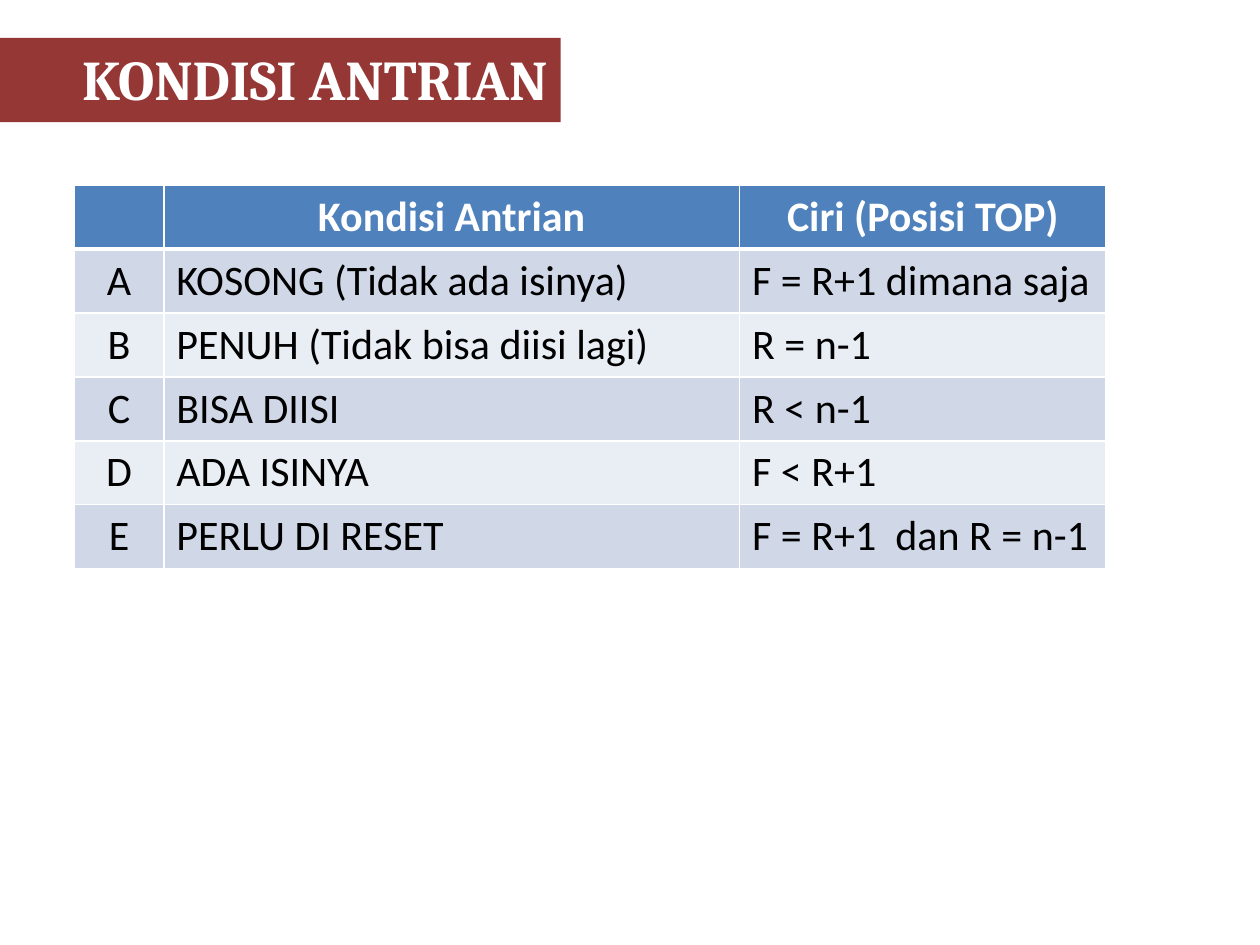
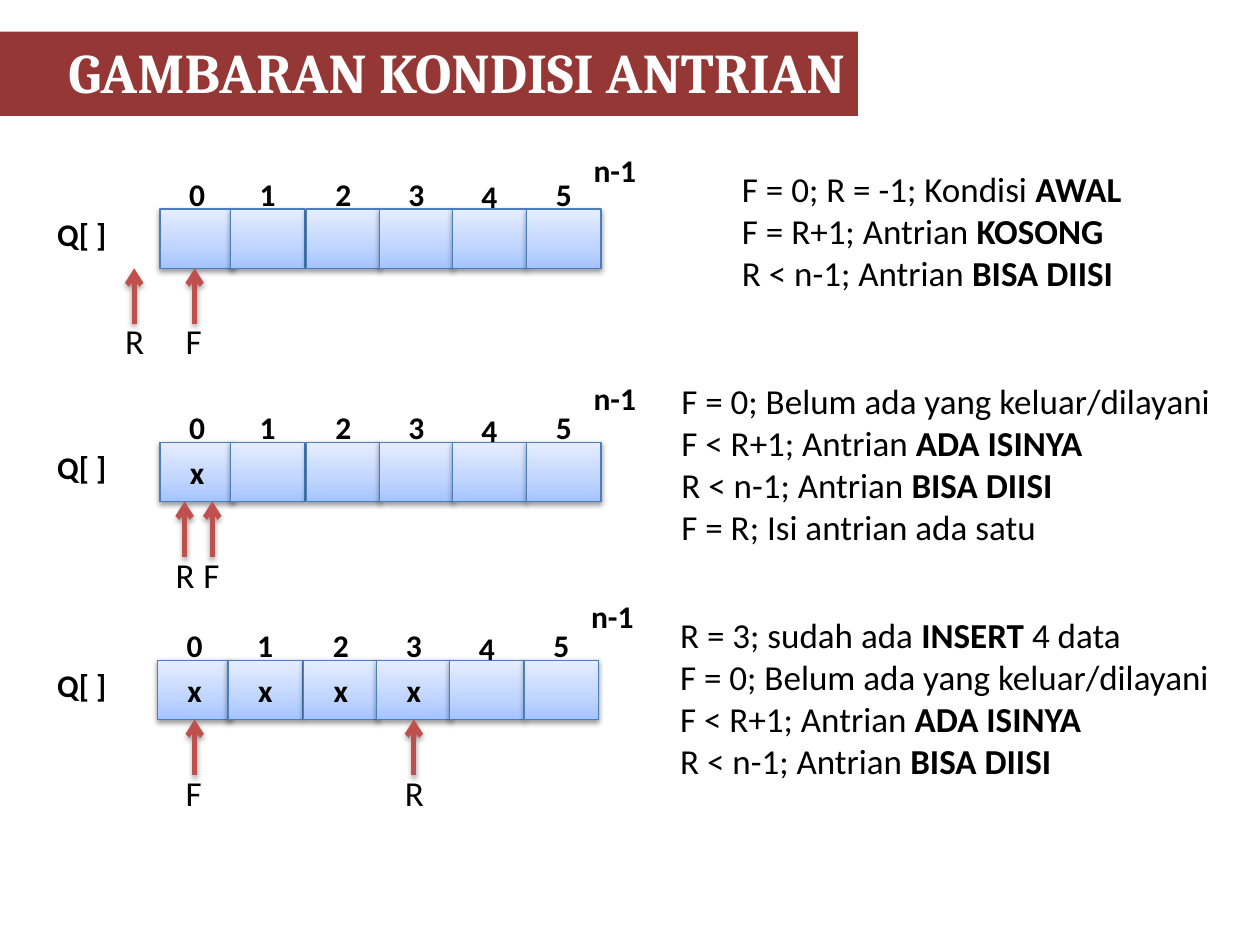
from copy import deepcopy

from pptx import Presentation
from pptx.dml.color import RGBColor
from pptx.enum.shapes import MSO_CONNECTOR, MSO_SHAPE
from pptx.enum.text import MSO_ANCHOR, MSO_AUTO_SIZE, PP_ALIGN
from pptx.oxml import parse_xml
from pptx.oxml.ns import nsdecls, qn
from pptx.util import Inches, Pt

RECT = MSO_SHAPE.RECTANGLE
LINE = MSO_CONNECTOR.STRAIGHT
LEFT, MID, RIGHT = PP_ALIGN.LEFT, PP_ALIGN.CENTER, PP_ALIGN.RIGHT
TOP, CORE = MSO_ANCHOR.TOP, MSO_ANCHOR.MIDDLE
FIXED, GROW = MSO_AUTO_SIZE.NONE, MSO_AUTO_SIZE.SHAPE_TO_FIT_TEXT

THEME = {
    "band": "953735", "head": "4F81BD", "odd": "D0D8E8", "even": "E9EDF4",
    "edge": "4B7EBC", "arrow": "C0504D", "white": "FFFFFF", "black": "000000",
    "fade": ((0, "A4C4FF"), (0.35, "BFD4FF"), (1, "E6EEFF")),
}
FONTS = {
    "title": ({"name": "Cambria", "size": Pt(32), "bold": True}, "white"),
    "head": ({"name": "Calibri", "size": Pt(24), "bold": True}, "white"),
    "body": ({"name": "Calibri", "size": Pt(24), "bold": False}, "black"),
    "mark": ({"name": "Calibri", "size": Pt(18), "bold": True}, "black"),
    "note": ({"name": "Calibri", "size": Pt(20), "bold": False}, "black"),
}

TITLES = (("KONDISI ANTRIAN", 0.3, 5.2), ("GAMBARAN KONDISI ANTRIAN", 0.25, 7.56))
WIDTHS = (0.71, 4.57, 2.91)
ROWS = (
    ("", "Kondisi Antrian", "Ciri (Posisi TOP)"),
    ("A", "KOSONG (Tidak ada isinya)", "F = R+1 dimana saja"),
    ("B", "PENUH (Tidak bisa diisi lagi)", "R = n-1"),
    ("C", "BISA DIISI", "R < n-1"),
    ("D", "ADA ISINYA", "F < R+1"),
    ("E", "PERLU DI RESET", "F = R+1  dan R = n-1"),
)

CELL_W, CELL_H = 0.59, 0.47
STEPS = (0, 0.56, 1.16, 1.74, 2.32, 2.91)
DROPS = (0, 0, 0, 0, 0.02, 0)
QUEUES = (
    {"at": (1.27, 1.66), "full": 0, "end": 1.15,
     "ptrs": (("R", 0, -0.5), ("F", 0, -0.02)),
     "box": (5.79, 1.28, 3.38, 1.11),
     "notes": ("F = 0; R = -1; Kondisi *AWAL", "F = R+1; Antrian *KOSONG",
               "R < n-1; Antrian *BISA DIISI")},
    {"at": (1.27, 3.51), "full": 1, "end": 2.96,
     "ptrs": (("R", 0, -0.1), ("F", 0, 0.12)),
     "box": (5.31, 2.96, 4.5, 1.45),
     "notes": ("F = 0; Belum ada yang keluar/dilayani", "F < R+1; Antrian *ADA ISINYA",
               "R < n-1; Antrian *BISA DIISI", "F = R; Isi antrian ada satu")},
    {"at": (1.25, 5.24), "full": 4, "end": 4.69,
     "ptrs": (("F", 0, 0), ("R", 3, 0)),
     "box": (5.3, 4.82, 4.5, 1.45),
     "notes": ("R = 3; sudah ada *INSERT* 4 data", "F = 0; Belum ada yang keluar/dilayani",
               "F < R+1; Antrian *ADA ISINYA", "R < n-1; Antrian *BISA DIISI")},
)


def tint(key):
    return RGBColor.from_string(THEME.get(key, key))


def put(obj, **vals):
    for key, val in vals.items():
        setattr(obj, key, val)


def paint(obj, key):
    obj.fill.solid()
    obj.fill.fore_color.rgb = tint(key)


def write(frame, lines, style, align=LEFT):
    vals, hue = FONTS[style]
    for i, line in enumerate(lines):
        para = frame.add_paragraph() if i else frame.paragraphs[0]
        para.alignment = align
        for j, part in enumerate(line.split("*")):
            run = para.add_run()
            run.text = part
            put(run.font, **vals)
            run.font.color.rgb = tint(hue)
            if j % 2:
                run.font.bold = True


def label(slide, box, lines, style, align=LEFT):
    frame = slide.shapes.add_textbox(*map(Inches, box)).text_frame
    put(frame, word_wrap=False, auto_size=GROW)
    write(frame, lines, style, align)


def shade(shape, dist, alpha):
    props = shape._element.spPr
    for old in props.findall(qn("a:effectLst")):
        props.remove(old)
    props.append(parse_xml(
        f'<a:effectLst {nsdecls("a")}><a:outerShdw blurRad="{Pt(3.1)}" dist="{Pt(dist)}" '
        f'dir="5400000" rotWithShape="0"><a:srgbClr val="000000">'
        f'<a:alpha val="{alpha}000"/></a:srgbClr></a:outerShdw></a:effectLst>'))


def start(deck, text, top, width):
    slide = deck.slides.add_slide(deck.slide_layouts[5])
    title = slide.shapes.title
    put(title, left=Inches(-0.75), top=Inches(top), width=Inches(width), height=Inches(0.67))
    paint(title, "band")
    put(title.text_frame, word_wrap=True, auto_size=FIXED, vertical_anchor=TOP)
    write(title.text_frame, [text], "title", RIGHT)
    return slide


def rule(cell, side, width):
    cell._tc.get_or_add_tcPr().append(parse_xml(
        f'<a:ln{side} {nsdecls("a")} w="{Pt(width)}"><a:solidFill>'
        f'<a:srgbClr val="{THEME["white"]}"/></a:solidFill></a:ln{side}>'))


def grid(slide):
    box = map(Inches, (0.59, 1.47, sum(WIDTHS), 3))
    table = slide.shapes.add_table(len(ROWS), len(WIDTHS), *box).table
    for col, width in zip(table.columns, WIDTHS):
        col.width = Inches(width)
    for r, row in enumerate(ROWS):
        key = "odd" if r % 2 else "even" if r else "head"
        for c, text in enumerate(row):
            cell = table.cell(r, c)
            for side in "LRTB":
                thick = (r, side) in ((0, "B"), (1, "T"))
                rule(cell, side, 3 if thick else 1)
            paint(cell, key)
            align = LEFT if r and c else MID
            write(cell.text_frame, [text], "body" if r else "head", align)


def slot(slide, x, y, text):
    cell = slide.shapes.add_shape(RECT, *map(Inches, (x, y, CELL_W, CELL_H)))
    cell.fill.gradient()
    cell.fill.gradient_angle = 90
    stops = cell._element.spPr.find(".//" + qn("a:gsLst"))
    stops.append(deepcopy(stops[0]))
    for stop, (pos, hue) in zip(cell.fill.gradient_stops, THEME["fade"]):
        stop.position = pos
        stop.color.rgb = tint(hue)
    cell.line.color.rgb = tint("edge")
    cell.line.width = Pt(0.75)
    shade(cell, 1.6, 38)
    if text:
        cell.text_frame.vertical_anchor = CORE
        write(cell.text_frame, [text], "mark", MID)
    return cell


def point(slide, cell, x, y, text, glue):
    ends = (x, y + 0.91, x, y + CELL_H)
    arrow = slide.shapes.add_connector(LINE, *map(Inches, ends))
    if glue:
        arrow.end_connect(cell, 2)
    arrow.line.color.rgb = tint("arrow")
    arrow.line.width = Pt(3)
    arrow.line._get_or_add_ln().append(parse_xml(f'<a:tailEnd {nsdecls("a")} type="arrow"/>'))
    shade(arrow, 1.8, 35)
    label(slide, (x - 0.17, y + 0.83, 0.35, 0.44), [text], "note")


def queue(slide, data):
    x, y = data["at"]
    cells = [slot(slide, x + step, y, "x" if i < data["full"] else "")
             for i, step in enumerate(STEPS)]
    for i, (step, drop) in enumerate(zip(STEPS, DROPS)):
        label(slide, (x + step + 0.13, y - 0.32 + drop, 0.33, 0.4), [str(i)], "mark", MID)
    label(slide, (0.35, y, 0.6, 0.4), ["Q[ ]"], "mark", MID)
    label(slide, (x + 3.34, data["end"], 0.54, 0.4), ["n-1"], "mark", MID)
    for text, i, shift in data["ptrs"]:
        mid = x + STEPS[i] + CELL_W / 2 + shift
        point(slide, cells[i], mid, y, text, not shift)
    label(slide, data["box"], data["notes"], "note")


def main():
    deck = Presentation()
    put(deck, slide_width=Inches(10), slide_height=Inches(7.5))
    first, second = [start(deck, *title) for title in TITLES]
    grid(first)
    for data in QUEUES:
        queue(second, data)
    deck.save("out.pptx")


if __name__ == "__main__":
    main()
